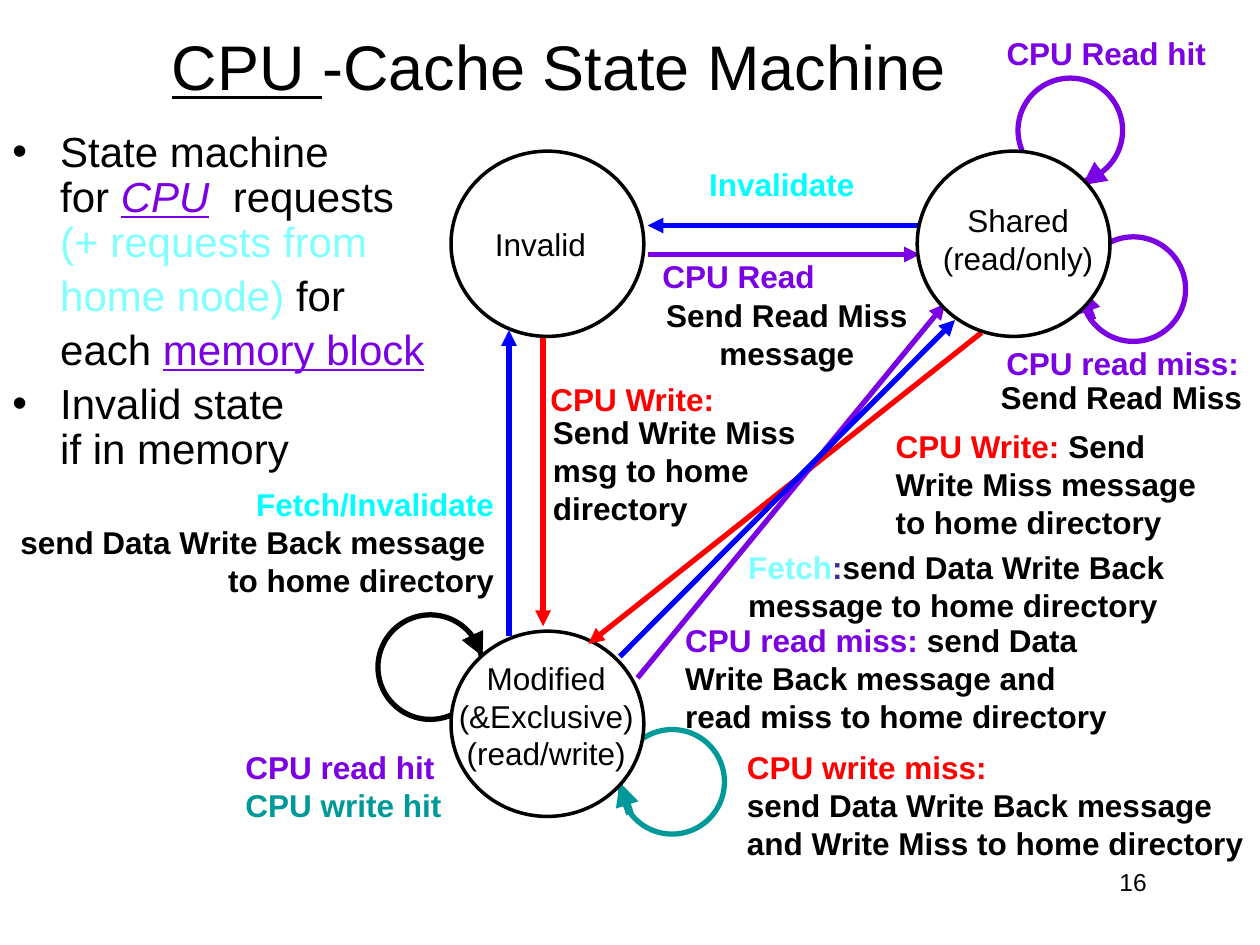
from lxml import etree
from pptx import Presentation
from pptx.dml.color import RGBColor
from pptx.enum.shapes import MSO_CONNECTOR, MSO_SHAPE
from pptx.enum.text import MSO_ANCHOR, PP_ALIGN
from pptx.oxml.ns import qn
from pptx.util import Inches, Pt

LEFT, CENTER, RIGHT = PP_ALIGN.LEFT, PP_ALIGN.CENTER, PP_ALIGN.RIGHT
OVAL, STRAIGHT = MSO_SHAPE.OVAL, MSO_CONNECTOR.STRAIGHT
FONT = "Arial"
BLACK, WHITE, RED, BLUE = "000000", "FFFFFF", "FF0000", "0000FF"
PURPLE, TEAL, CYAN, PALE, NAVY = "7B00E4", "009999", "00FFFF", "80FFFF", "333399"

# Content: a run is (text, colour, style), where style holds "u" and/or "i"
TITLE = [("CPU ", BLACK, "u"), ("-Cache State Machine", BLACK, "")]
BODY = [  # bulleted?, runs
    (True, [("State machine\vfor ", BLACK, ""), ("CPU", PURPLE, "iu"),
            ("  requests\v", BLACK, ""), ("(+ requests from", PALE, "")]),
    (False, [("home node) ", PALE, ""), ("for", BLACK, "")]),
    (False, [("each ", BLACK, ""), ("memory block", PURPLE, "u")]),
    (True, [("Invalid state\vif in memory", BLACK, "")]),
]

# States and self-loops: left, top of each circle
STATE_SIZE = (1.53, 1.47)
LOOP_SIZE = (0.83, 0.83)
INVALID, SHARED, MODIFIED = (3.58, 1.2), (7.28, 1.2), (3.58, 5.01)
MODIFIED_LOOPS = [  # corner, arrow start, arrow tip, colour
    ((3, 4.88), (3.75, 5.04), (3.83, 5.21), BLACK),
    ((4.92, 5.79), (5, 6.46), (4.92, 6.21), TEAL),
]
SHARED_LOOPS = [
    ((8.58, 1.88), (8.67, 2.54), (8.58, 2.29), PURPLE),
    ((8.08, 0.62), (8.74, 1.36), (8.59, 1.47), PURPLE),
]
TRANSITIONS = [  # start, tip, colour
    ((5.14, 2.02), (7.3, 2.02), PURPLE),
    ((4.31, 2.68), (4.31, 4.97), RED),
    ((4.04, 5.05), (4.04, 2.62), BLUE),
    ((7.3, 1.79), (5.14, 1.79), BLUE),
    ((7.79, 2.64), (4.67, 5.11), RED),
    ((5.06, 5.38), (7.5, 2.41), PURPLE),
    ((4.92, 5.21), (7.58, 2.54), BLUE),
]

# Labels: left, top, width, alignment, paragraphs of (text, colour) runs
STATE_LABELS = [
    (3.79, 1.74, 1, CENTER, [[("Invalid", BLACK)]]),
    (7.37, 1.55, 1.42, CENTER, [[("Shared", BLACK)], [("(read/only)", BLACK)]]),
    (3.54, 5.18, 1.59, CENTER, [[("Modified", BLACK)], [("(&Exclusive)", BLACK)],
                                [("(read/write)", BLACK)]]),
]
TRANSITION_LABELS = [
    (4.96, 1.26, 2.49, CENTER, [[("Invalidate", CYAN)]]),
    (5.16, 1.99, 1.5, LEFT, [[("CPU Read", PURPLE)]]),
    (7.89, 0.22, 1.9, LEFT, [[("CPU Read hit", PURPLE)]]),
    (5.14, 2.3, 2.21, CENTER, [[("Send Read Miss", BLACK)], [("message", BLACK)]]),
    (4.27, 2.97, 1.7, LEFT, [[("CPU Write:", RED)]]),
    (4.29, 3.23, 2.3, LEFT, [[("Send Write Miss", BLACK)],
                             [("msg to home\vdirectory", BLACK)]]),
    (7.82, 2.68, 2.18, CENTER, [[("CPU read miss:", PURPLE)]]),
    (7.8, 2.95, 2.2, CENTER, [[("Send Read Miss", BLACK)]]),
    (7.01, 3.34, 2.7, LEFT, [[("CPU Write: ", RED), ("Send\vWrite Miss message", BLACK)],
                             [("to home directory", BLACK)]]),
    (5.84, 4.3, 3.66, LEFT, [[("Fetch", PALE), (":", NAVY),
                              ("send Data Write Back message to home directory", BLACK)]]),
    (5.34, 4.88, 3.66, LEFT, [[("CPU read miss: ", PURPLE),
                               ("send Data Write Back message and "
                                "read miss to home directory", BLACK)]]),
    (5.83, 5.89, 4.17, LEFT, [[("CPU write miss:", RED)],
                              [("send Data Write Back message", BLACK)],
                              [("and Write Miss to home directory", BLACK)]]),
    (0, 3.8, 4.02, RIGHT, [[("Fetch/Invalidate", CYAN)],
                           [("send Data Write Back message ", BLACK)],
                           [("to home directory", BLACK)]]),
    (1.85, 5.89, 1.9, LEFT, [[("CPU read hit", PURPLE)], [("CPU write hit", TEAL)]]),
]
PAGE_NUMBER = "16"


def rgb(value):
    return RGBColor.from_string(value)


def add_runs(paragraph, runs, size, bold=False):
    for text, color, style in runs:
        for i, line in enumerate(text.split("\v")):
            if i:
                paragraph.add_line_break()
            if not line:
                continue
            run = paragraph.add_run()
            run.text = line
            font = run.font
            font.name, font.size, font.bold = FONT, Pt(size), bold
            font.italic, font.underline = "i" in style, "u" in style
            font.color.rgb = rgb(color)


def add_frame(slide, left, top, width, height):
    box = slide.shapes.add_textbox(*map(Inches, (left, top, width, height)))
    box.text_frame.word_wrap = True
    return box.text_frame


def paragraph_at(frame, index):
    return frame.add_paragraph() if index else frame.paragraphs[0]


def add_label(slide, left, top, width, align, paragraphs, size=18, bold=True):
    frame = add_frame(slide, left, top, width, 0.1 + 0.3 * len(paragraphs))
    for i, runs in enumerate(paragraphs):
        paragraph = paragraph_at(frame, i)
        paragraph.alignment = align
        add_runs(paragraph, [(text, color, "") for text, color in runs], size, bold)


def add_circle(slide, corner, size, color, weight, fill=None):
    circle = slide.shapes.add_shape(OVAL, *map(Inches, corner + size))
    circle.shadow.inherit = False
    if fill:
        circle.fill.solid()
        circle.fill.fore_color.rgb = rgb(fill)
    else:
        circle.fill.background()
    circle.line.color.rgb = rgb(color)
    circle.line.width = Pt(weight)


def add_arrow(slide, start, tip, color, weight=3):
    arrow = slide.shapes.add_connector(STRAIGHT, *map(Inches, start + tip))
    arrow.line.color.rgb = rgb(color)
    arrow.line.width = Pt(weight)
    etree.SubElement(arrow.line._get_or_add_ln(), qn("a:tailEnd"), type="triangle")
    etree.SubElement(arrow._element.spPr, qn("a:effectLst"))


def add_state(slide, corner, loops=()):
    for loop_corner, start, tip, color in loops:
        add_circle(slide, loop_corner, LOOP_SIZE, color, 3)
        add_arrow(slide, start, tip, color, 4.5)
    add_circle(slide, corner, STATE_SIZE, BLACK, 2, WHITE)


def add_body(slide):
    frame = add_frame(slide, 0, 0.99, 3.96, 2.8)
    for i, (bulleted, runs) in enumerate(BODY):
        paragraph = paragraph_at(frame, i)
        props = paragraph._p.get_or_add_pPr()
        props.set("marL", str(Inches(0.38)))
        props.set("indent", str(Inches(-0.38 if bulleted else 0)))
        if bulleted:
            etree.SubElement(props, qn("a:buFont"), typeface=FONT)
            etree.SubElement(props, qn("a:buChar"), char="•")
        paragraph.line_spacing = 0.9
        if i:
            paragraph.space_before = Pt(4.8)
        add_runs(paragraph, runs, 24)


def main():
    prs = Presentation()
    prs.slide_width, prs.slide_height = Inches(10), Inches(7.5)
    slide = prs.slides.add_slide(prs.slide_layouts[5])

    # Title and bullets
    title = slide.shapes.title
    title.left, title.top, title.width, title.height = map(Inches, (0.23, 0.23, 8.41, 0.58))
    title.text_frame.vertical_anchor = MSO_ANCHOR.MIDDLE
    title.text_frame.paragraphs[0].alignment = CENTER
    add_runs(title.text_frame.paragraphs[0], TITLE, 36)
    add_body(slide)

    # State diagram: the Shared circle covers the ends of its arrows
    add_state(slide, MODIFIED, MODIFIED_LOOPS)
    add_state(slide, INVALID)
    for start, tip, color in TRANSITIONS:
        add_arrow(slide, start, tip, color)
    add_state(slide, SHARED, SHARED_LOOPS)

    # Labels and page number
    for label in STATE_LABELS:
        add_label(slide, *label, bold=False)
    for label in TRANSITION_LABELS:
        add_label(slide, *label)
    add_label(slide, 7.17, 6.83, 2.03, RIGHT, [[(PAGE_NUMBER, BLACK)]], size=14, bold=False)

    prs.save("out.pptx")


if __name__ == "__main__":
    main()
